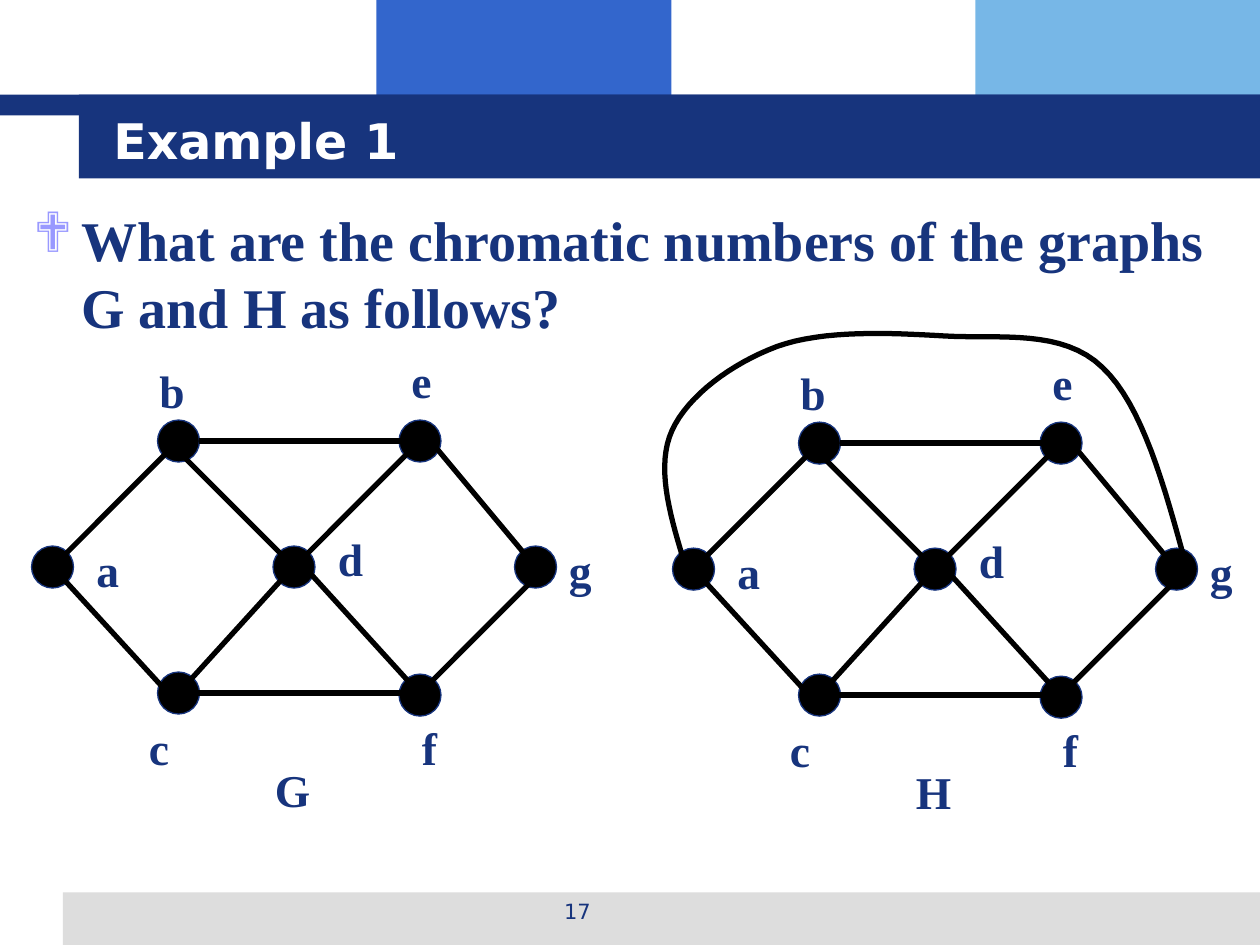
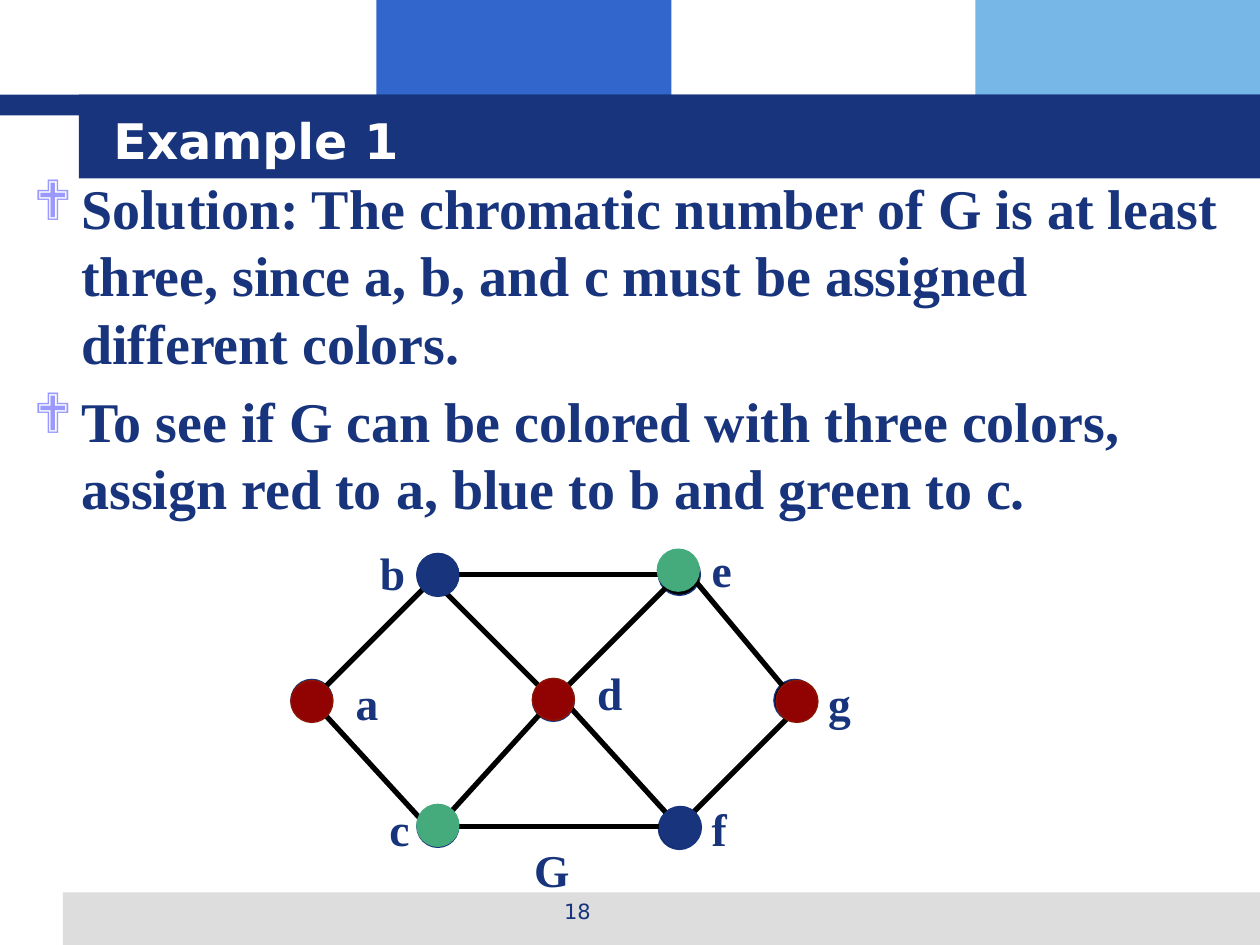
from lxml import etree
from pptx import Presentation, util as u
from pptx.dml.color import RGBColor
from pptx.enum import shapes, text
from pptx.oxml import ns

# Grid: 120 columns by 90 rows
COLS, ROWS = 120, 90
CELL = u.Inches(10) / COLS

NAVY = RGBColor(0x17, 0x34, 0x7D)
BLUE = RGBColor(0x33, 0x66, 0xCC)
SKY = RGBColor(0x77, 0xB7, 0xE7)
GREY = RGBColor(0xDD, 0xDD, 0xDD)
LILAC = RGBColor(0x99, 0x99, 0xFF)
WHITE = RGBColor(0xFF, 0xFF, 0xFF)
BLACK = RGBColor(0, 0, 0)
RED = RGBColor(0x91, 0x03, 0x03)
RUST = RGBColor(0x8C, 0x16, 0x02)
GREEN = RGBColor(0x45, 0xAB, 0x7D)

SANS, SERIF = "DejaVu Sans", "Times New Roman"

# Left, top, width, height and colour of the bands
BANDS = [
    (35.85, 0, 28.1, 11, BLUE),
    (92.9, 0, 27.1, 11, SKY),
    (6, 85, 114, 5, GREY),
    (0, 9, COLS, 2, NAVY),
    (7.5, 9, 112.5, 8, NAVY),
]

# The graph, in cells from its own top left corner
DOT = 4
NODES = {"a": (0, 12), "b": (12, 0), "c": (12, 24), "d": (23, 12),
         "e": (35, 0), "f": (35, 24.2), "g": (46, 12)}
EDGES = [
    (3, 13, 13, 3), (16, 2, 36, 2), (38, 2, 48, 14), (2, 14, 13, 26),
    (14, 26, 24, 15), (26, 13, 36, 3), (15, 26, 36, 26),
    (38, 25, 48, 15), (14, 3, 24, 13), (26, 14, 36, 25),
]
TAGS = {"a": (5, 11), "b": (11, -6), "c": (10, 28), "d": (28, 10),
        "e": (35, -7), "f": (36, 28), "g": (50, 11)}
CLOSE = {"b": (7.3, -1.4), "c": (8.2, 23), "e": (38.9, -1.7),
         "f": (38.9, 23)}
WIDTHS = {"b": 4.8, "d": 4.8, "c": 4.3, "e": 4.3, "f": 3.8,
          "G": 5.8, "H": 5.8}

# Fill, line and place of each coloured node
PAINT = {
    "a": (RED, RUST, (0, 12.1)), "b": (NAVY, NAVY, (12, 0.1)),
    "c": (GREEN, GREEN, (12, 23.9)), "d": (RED, RUST, (23, 11.9)),
    "e": (GREEN, GREEN, (34.9, -0.4)), "f": (NAVY, NAVY, (35.1, 24.1)),
    "g": (RED, RUST, (46.2, 12.1)),
}

# Bezier knots and handles of the outer edge from a to g
ARC = [
    (65, 53), (63.7, 48.7), (62.5, 44.3), (64, 41),
    (65.5, 37.7), (69.7, 34.6), (74, 33),
    (78.4, 31.4), (84.8, 31.7), (90, 32),
    (95.2, 32.3), (101.2, 31.3), (105, 35),
    (108.8, 38.6), (110.9, 46.3), (113, 54),
]


def grid(*cells):
    return [round(c * CELL) for c in cells]


def bullet(par):
    """Hang the paragraph from a lilac diamond."""
    props = par._p.get_or_add_pPr()
    props.set("marL", str(u.Inches(0.38)))
    props.set("indent", str(-u.Inches(0.38)))
    tint = etree.SubElement(props, ns.qn("a:buClr"))
    etree.SubElement(tint, ns.qn("a:srgbClr"), val=str(LILAC))
    etree.SubElement(props, ns.qn("a:buFont"), typeface="Wingdings")
    etree.SubElement(props, ns.qn("a:buChar"), char="❖")


def write(frame, *lines, font=SERIF, size=26, color=NAVY, bold=True,
          align=text.PP_ALIGN.LEFT, wrap=True, mark=False, lead=None,
          gap=0):
    frame.word_wrap = wrap
    for i, line in enumerate(lines):
        par = frame.add_paragraph() if i else frame.paragraphs[0]
        if mark:
            bullet(par)
        par.alignment = align
        if lead:
            par.line_spacing = u.Pt(lead)
        if i:
            par.space_before = u.Pt(gap)
        run = par.add_run()
        run.text = line
        run.font.name, run.font.size = font, u.Pt(size)
        run.font.bold, run.font.color.rgb = bold, color


def label(slide, box, *lines, **style):
    write(slide.shapes.add_textbox(*grid(*box)).text_frame, *lines, **style)


def shape(slide, kind, box, fill, line=None):
    item = slide.shapes.add_shape(kind, *grid(*box))
    item.shadow.inherit = False
    item.fill.solid()
    item.fill.fore_color.rgb = fill
    if line is None:
        item.line.fill.background()
    else:
        item.line.color.rgb, item.line.width = line, u.Pt(0.75)


def dot(slide, x, y, fill, line):
    shape(slide, shapes.MSO_SHAPE.OVAL, (x, y, DOT, DOT), fill, line)


def edge(slide, *ends):
    item = slide.shapes.add_connector(shapes.MSO_CONNECTOR.STRAIGHT,
                                      *grid(*ends))
    item.line.color.rgb, item.line.width = BLACK, u.Pt(3)
    etree.SubElement(item._element.spPr, ns.qn("a:effectLst"))


def bend(knots, steps=16):
    """Points along a chain of cubic Bezier curves."""
    for k in range(0, len(knots) - 1, 3):
        for n in range(1, steps + 1):
            t = n / steps
            s = 1 - t
            parts = (s ** 3, 3 * s * s * t, 3 * s * t * t, t ** 3)
            yield tuple(sum(w * p[axis] for w, p in
                            zip(parts, knots[k:k + 4])) for axis in (0, 1))


def curve(slide, knots):
    pen = slide.shapes.build_freeform(*grid(*knots[0]))
    pen.add_line_segments([grid(*p) for p in bend(knots)], close=False)
    item = pen.convert_to_shape()
    item.shadow.inherit = False
    item.fill.background()
    item.line.color.rgb, item.line.width = BLACK, u.Pt(3)


def graph(slide, left, top, name, tags, spot, paint=None):
    for x, y in NODES.values():
        dot(slide, left + x, top + y, BLACK, NAVY)
    for x1, y1, x2, y2 in EDGES:
        edge(slide, left + x1, top + y1, left + x2, top + y2)
    for tag, (x, y) in {**tags, name: spot}.items():
        box = left + x, top + y, WIDTHS.get(tag, 4.6), 6.4
        label(slide, box, tag, wrap=False)
    for fill, line, (x, y) in (paint or {}).values():
        dot(slide, left + x, top + y, fill, line)


def page(deck, number, top, *points):
    """A slide with bands, title, bulleted text and page number."""
    slide = deck.slides.add_slide(deck.slide_layouts[5])
    for *box, fill in BANDS:
        shape(slide, shapes.MSO_SHAPE.RECTANGLE, box, fill)

    # Title, raised above the bands
    title = slide.shapes.title
    title.left, title.top, title.width, title.height = grid(
        9.6, 9.6, 102.4, 7.4)
    title.text_frame.vertical_anchor = text.MSO_ANCHOR.MIDDLE
    write(title.text_frame, "Example 1", font=SANS, size=28, color=WHITE)
    slide.shapes._spTree.append(title._element)

    label(slide, (2, top, 116, 35), *points, size=32, mark=True,
          lead=38.3, gap=6.4)
    label(slide, (41, 85, 28, 4.2), str(number), font=SANS, size=12,
          bold=False, align=text.PP_ALIGN.CENTER)
    return slide


def main():
    deck = Presentation()
    deck.slide_width, deck.slide_height = grid(COLS, ROWS)

    # Question: graphs G and H
    ask = page(deck, 17, 19, "What are the chromatic numbers of the "
               "graphs G and H as follows?")
    graph(ask, 3, 40, "G", TAGS, (22, 32))
    graph(ask, 64.05, 40.2, "H", TAGS, (22, 32))
    curve(ask, ARC)

    # Solution: G in three colours
    solve = page(deck, 18, 16,
                 "Solution: The chromatic number of G is at least three, "
                 "since a, b, and c must be assigned different colors.",
                 "To see if G can be colored with three colors, assign red "
                 "to a, blue to b and green to c.")
    graph(solve, 27.7, 52.7, "G", {**TAGS, **CLOSE}, (22, 26.9), PAINT)

    deck.save("out.pptx")


if __name__ == "__main__":
    main()
